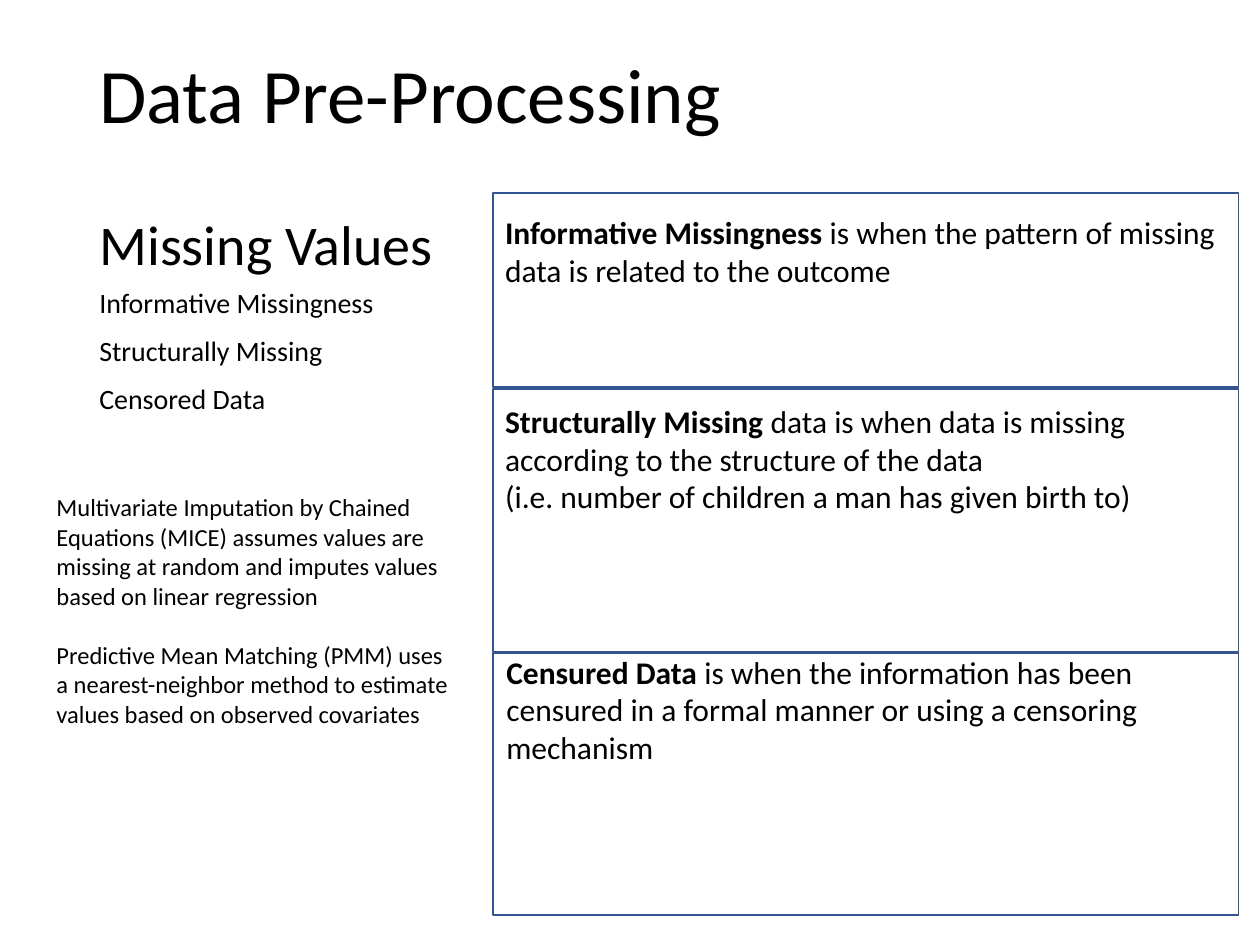
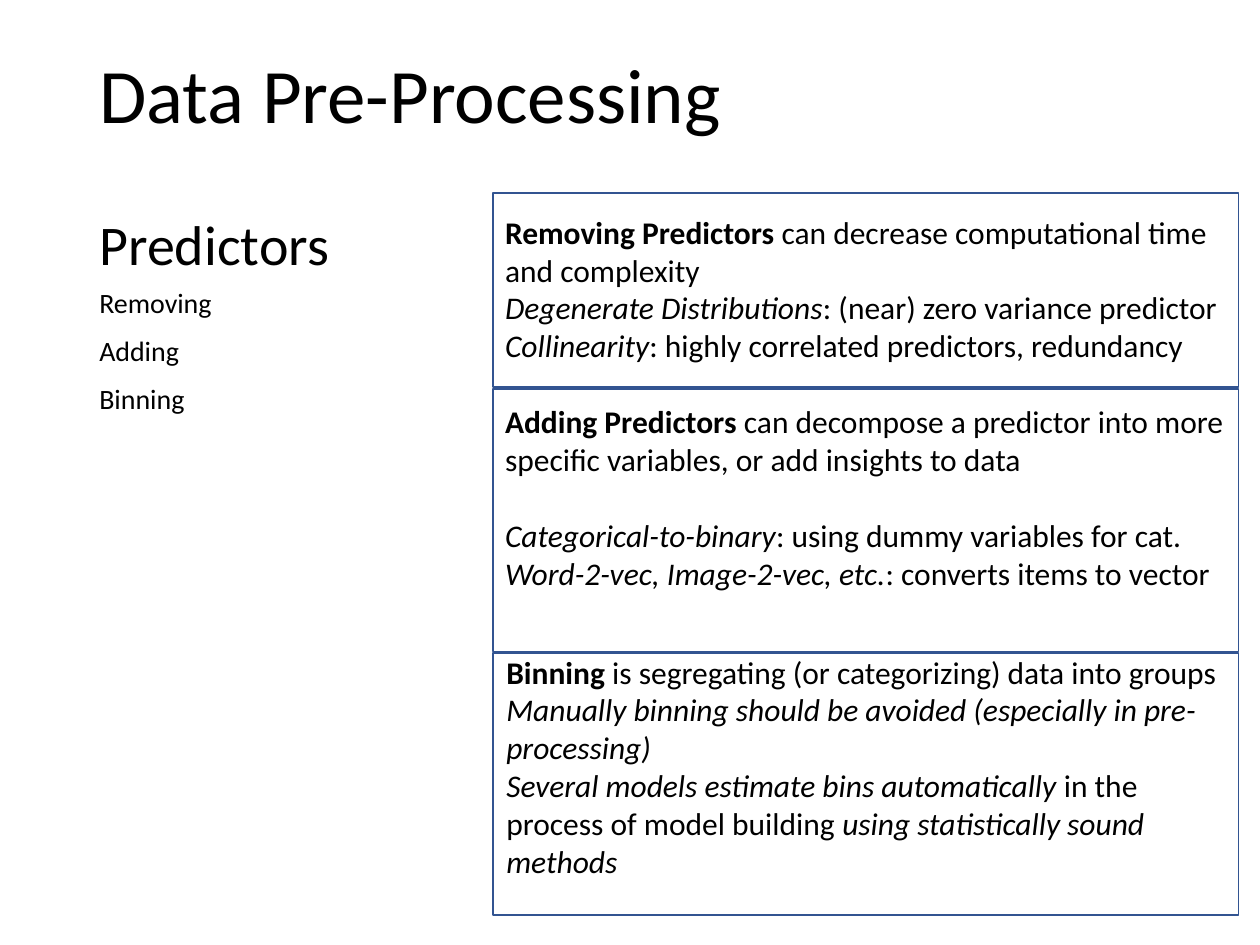
from pptx import Presentation
from pptx import util as u
from pptx.dml.color import RGBColor
from pptx.enum import shapes, text

EMU_PER_PX = 9144  # 100 px to the inch


def px(length):
    return u.Emu(length * EMU_PER_PX)


def color(hex_string):
    return RGBColor.from_string(hex_string)


class Deck:
    FONT = "Calibri"
    INK = "000000"
    BORDER = "325491"

    def __init__(self):
        self.presentation = Presentation()
        self.presentation.slide_width = px(1000)
        self.presentation.slide_height = px(750)
        self.slide = None

    def new_slide(self):
        self.slide = self.presentation.slides.add_slide(self.presentation.slide_layouts[6])

    def text_box(self, box, paragraphs, size, line_spacing=None, space_before=0,
                 anchor=text.MSO_ANCHOR.TOP, gap_at=None):
        """Write paragraphs, each a string or a list of (words, style), style "b", "i" or "".

        gap_at is the index of a paragraph set off by one empty line's height.
        """
        frame = self.slide.shapes.add_textbox(*map(px, box)).text_frame
        frame.word_wrap = True
        frame.vertical_anchor = anchor
        for index, content in enumerate(paragraphs):
            paragraph = frame.add_paragraph() if index else frame.paragraphs[0]
            paragraph.line_spacing = line_spacing
            gap = round(size * 1.22) if index == gap_at else space_before
            paragraph.space_before = u.Pt(gap)
            for words, style in [(content, "")] if isinstance(content, str) else content:
                run = paragraph.add_run()
                run.text = words
                run.font.name = self.FONT
                run.font.size = u.Pt(size)
                run.font.color.rgb = color(self.INK)
                run.font.bold = style == "b"
                run.font.italic = style == "i"

    def frame(self, box):
        shape = self.slide.shapes.add_shape(shapes.MSO_SHAPE.RECTANGLE, *map(px, box))
        shape.shadow.inherit = False
        shape.fill.background()
        shape.line.color.rgb = color(self.BORDER)
        shape.line.width = u.Pt(1)

    def topic(self, heading, points, definitions, gaps=(None, None, None)):
        """Add a slide with a heading and points on the left, framed definitions on the right."""
        self.new_slide()
        self.text_box((69, 50, 323, 175), [heading], 32, 0.9, anchor=text.MSO_ANCHOR.BOTTOM)
        self.text_box((69, 225, 323, 417), points, 16, 0.9, space_before=10)
        self.text_box((69, 40, 862, 145), ["Data Pre-Processing"], 44, 0.9)
        text_places = [(391, 164), (391, 314), (392, 513)]
        frame_rows = [(153, 154), (309, 208), (518, 208)]
        for (left, top), (frame_top, height), definition, gap in zip(
                text_places, frame_rows, definitions, gaps):
            self.text_box((left, top, 592, height - 15), definition, 18, gap_at=gap)
            self.frame((391, frame_top, 592, height))


def main():
    deck = Deck()

    deck.topic(
        "Missing Values",
        ["Informative Missingness", "Structurally Missing", "Censored Data"],
        [
            [[("Informative Missingness", "b"),
              (" is when the pattern of missing data is related to the outcome", "")]],
            [[("Structurally Missing", "b"),
              (" data is when data is missing according to the structure of the data", "")],
             "(i.e. number of children a man has given birth to)"],
            [[("Censured Data", "b"),
              (" is when the information has been censured in a formal manner "
               "or using a censoring mechanism", "")]],
        ])
    deck.text_box(
        (35, 386, 336, 246),
        ["Multivariate Imputation by Chained Equations (MICE) assumes values are "
         "missing at random and imputes values based on linear regression",
         "Predictive Mean Matching (PMM) uses a nearest-neighbor method to estimate "
         "values based on observed covariates"],
        14, gap_at=1)

    deck.topic(
        "Predictors",
        ["Removing", "Adding", "Binning"],
        [
            [[("Removing Predictors", "b"),
              (" can decrease computational time and complexity", "")],
             [("Degenerate Distributions", "i"), (": (near) zero variance predictor", "")],
             [("Collinearity", "i"), (": highly correlated predictors, redundancy", "")]],
            [[("Adding Predictors", "b"),
              (" can decompose a predictor into more specific variables, "
               "or add insights to data", "")],
             [("Categorical-to-binary", "i"), (": using dummy variables for cat.", "")],
             [("Word-2-vec, Image-2-vec, etc.", "i"), (": converts items to vector", "")]],
            [[("Binning", "b"), (" is segregating (or categorizing) data into groups", "")],
             [("Manually binning should be avoided (especially in pre-processing)", "i")],
             [("Several models estimate bins automatically ", "i"),
              ("in the process of model building ", ""),
              ("using statistically sound methods", "i")]],
        ],
        gaps=(None, 1, None))

    deck.presentation.save("out.pptx")


if __name__ == "__main__":
    main()
